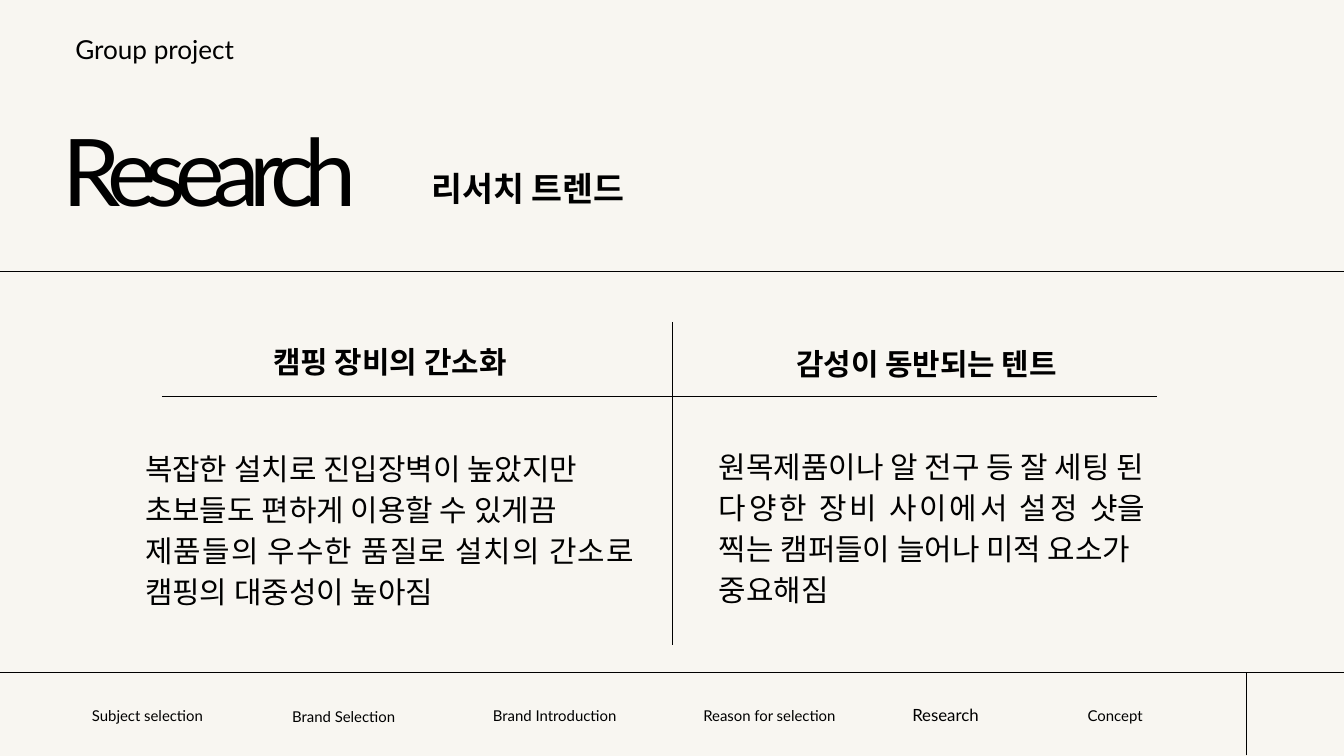
from pptx import Presentation
from pptx.dml.color import RGBColor
from pptx.enum.shapes import MSO_CONNECTOR
from pptx.enum.text import MSO_AUTO_SIZE, PP_ALIGN
from pptx.oxml.ns import qn
from pptx.util import Inches, Pt
from lxml.etree import SubElement

COLORS = {"ink": "000000", "paper": "F8F6F1"}
LATIN, KOREAN = "Lato", "Arial"


class ResearchSlide:
    """Holds the style and the current slide, and draws each kind of element."""

    def __init__(self, slide):
        self.slide = slide
        self.ink = RGBColor.from_string(COLORS["ink"])
        fill = slide.background.fill
        fill.solid()
        fill.fore_color.rgb = RGBColor.from_string(COLORS["paper"])

    def rule(self, x1, y1, x2, y2):
        rule = self.slide.shapes.add_connector(
            MSO_CONNECTOR.STRAIGHT, Inches(x1), Inches(y1), Inches(x2), Inches(y2))
        rule.line.color.rgb = self.ink
        rule.line.width = Pt(0.75)
        SubElement(rule._element.spPr, qn("a:effectLst"))

    def text(self, box, paragraphs, size, font=LATIN, bold=False, align=PP_ALIGN.LEFT,
             leading=None, padded=False):
        """Each paragraph is a list of (words, letter spacing in points) pairs."""
        frame = self.slide.shapes.add_textbox(*map(Inches, box)).text_frame
        frame.word_wrap = True
        frame.auto_size = MSO_AUTO_SIZE.SHAPE_TO_FIT_TEXT
        if not padded:
            frame.margin_left = frame.margin_right = 0
            frame.margin_top = frame.margin_bottom = 0
        for index, pieces in enumerate(paragraphs):
            paragraph = frame.add_paragraph() if index else frame.paragraphs[0]
            paragraph.alignment = align
            if leading:
                paragraph.line_spacing = Pt(leading)
            paragraph.font.name = font
            paragraph.font.size = Pt(size)
            paragraph.font.bold = bold
            paragraph.font.color.rgb = self.ink
            for words, spacing in pieces:
                run = paragraph.add_run()
                run.text = words
                if spacing:
                    run._r.get_or_add_rPr().set("spc", str(round(spacing * 100)))

    def heading(self, box, words):
        self.text(box, [[(words, 0)]], 32, KOREAN, True, PP_ALIGN.CENTER, padded=True)

    def body(self, box, paragraphs, align):
        self.text(box, paragraphs, 32, KOREAN, align=align, leading=44, padded=True)

    def step(self, left, top, width, words, size=16):
        self.text((left, top, width, 0.31), [[(words, 0)]], size,
                  align=PP_ALIGN.CENTER, leading=22.4)


def main():
    presentation = Presentation()
    presentation.slide_width, presentation.slide_height = Inches(20), Inches(11.25)
    page = ResearchSlide(presentation.slides.add_slide(presentation.slide_layouts[6]))

    for ends in [(0, 10.01, 20, 10.01), (0, 4.04, 20, 4.04), (18.54, 11.24, 18.54, 10.02),
                 (2.41, 5.9, 17.22, 5.9), (10, 4.79, 10, 9.6)]:
        page.rule(*ends)

    page.text((0.93, 1.68, 11.96, 1.68), [[("Research", -11.5)]], 100)
    page.text((1.12, 0.64, 3.38, 0.32), [[("Group project", 0)]], 28, leading=22.9)
    page.text((6.42, 2.79, 4.25, 0.35), [[("리서치 트렌드", 0)]], 36, KOREAN, True,
              leading=22.4)

    page.heading((3.42, 5.07, 4.77, 0.64), "캠핑 장비의 간소화")
    page.heading((11.01, 5.1, 5.56, 0.64), "감성이 동반되는 텐트")

    equipment = ["복잡한 설치로 진입장벽이 높았지만",
                 "초보들도 편하게 이용할 수 있게끔",
                 "제품들의 우수한 품질로 설치의 간소로 캠핑의 대중성이 높아짐"]
    page.body((2.06, 6.58, 7.48, 2.57), [[(words, 0)] for words in equipment],
              PP_ALIGN.JUSTIFY)
    mood = [("원목제품이나 알 전구 등 잘 세팅 ", 0),
            ("된 다양한 장비 사이에서 설정 ", 3),
            ("샷을 찍는 캠퍼들이 늘어나 미적 요소가 중요해짐", 0)]
    page.body((10.6, 6.55, 6.93, 2.57), [mood], PP_ALIGN.LEFT)

    for step in [(1.16, 10.47, 2.07, "Subject selection"),
                 (3.98, 10.48, 2.27, "Brand Selection"),
                 (7.12, 10.47, 2.27, "Brand Introduction"),
                 (10.21, 10.47, 2.48, "Reason for selection"),
                 (12.83, 10.47, 2.48, "Research", 18),
                 (15.19, 10.47, 2.81, "Concept")]:
        page.step(*step)

    presentation.save("out.pptx")


if __name__ == "__main__":
    main()
